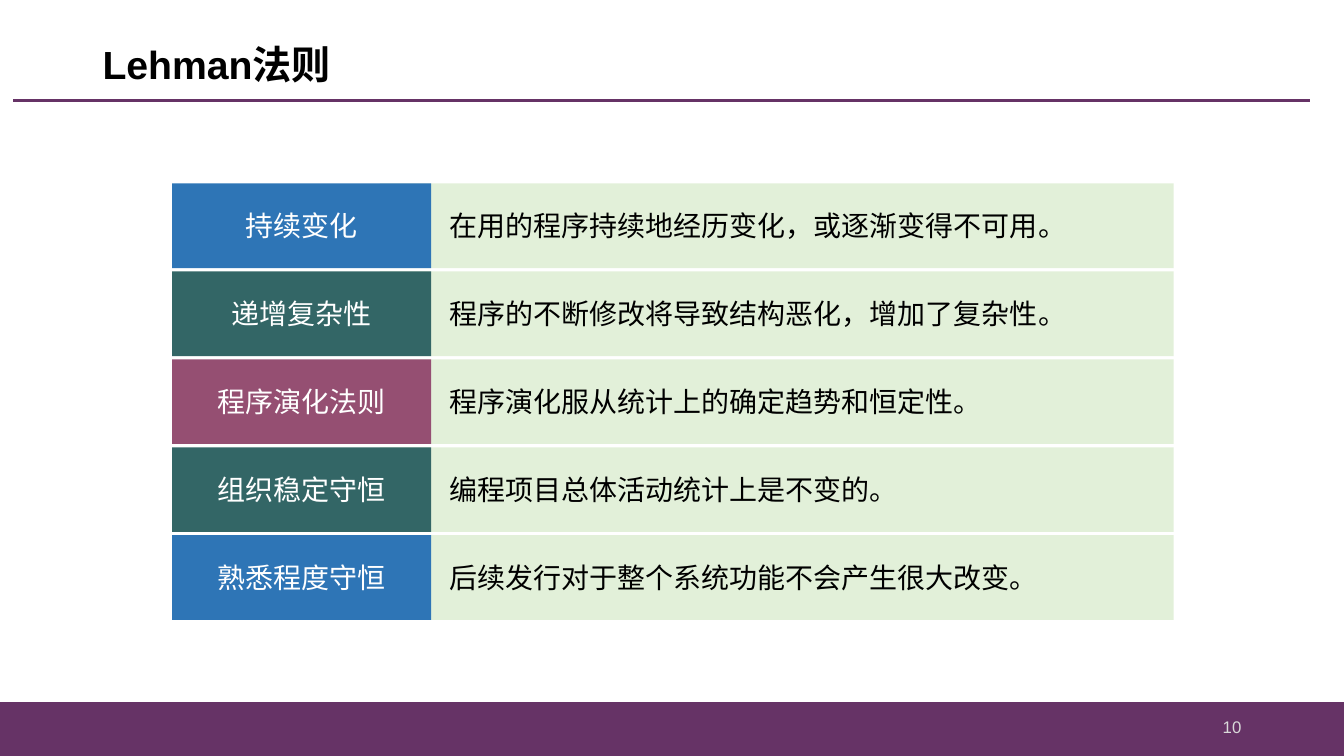
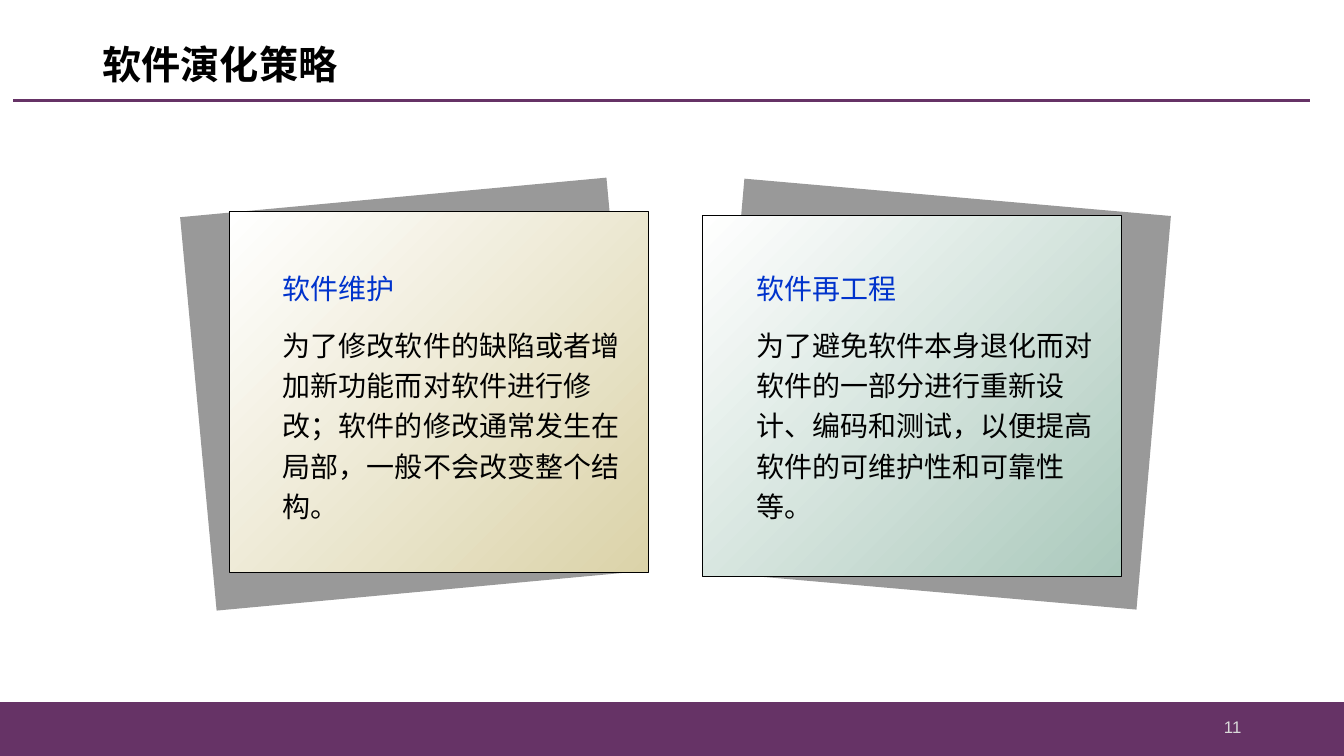
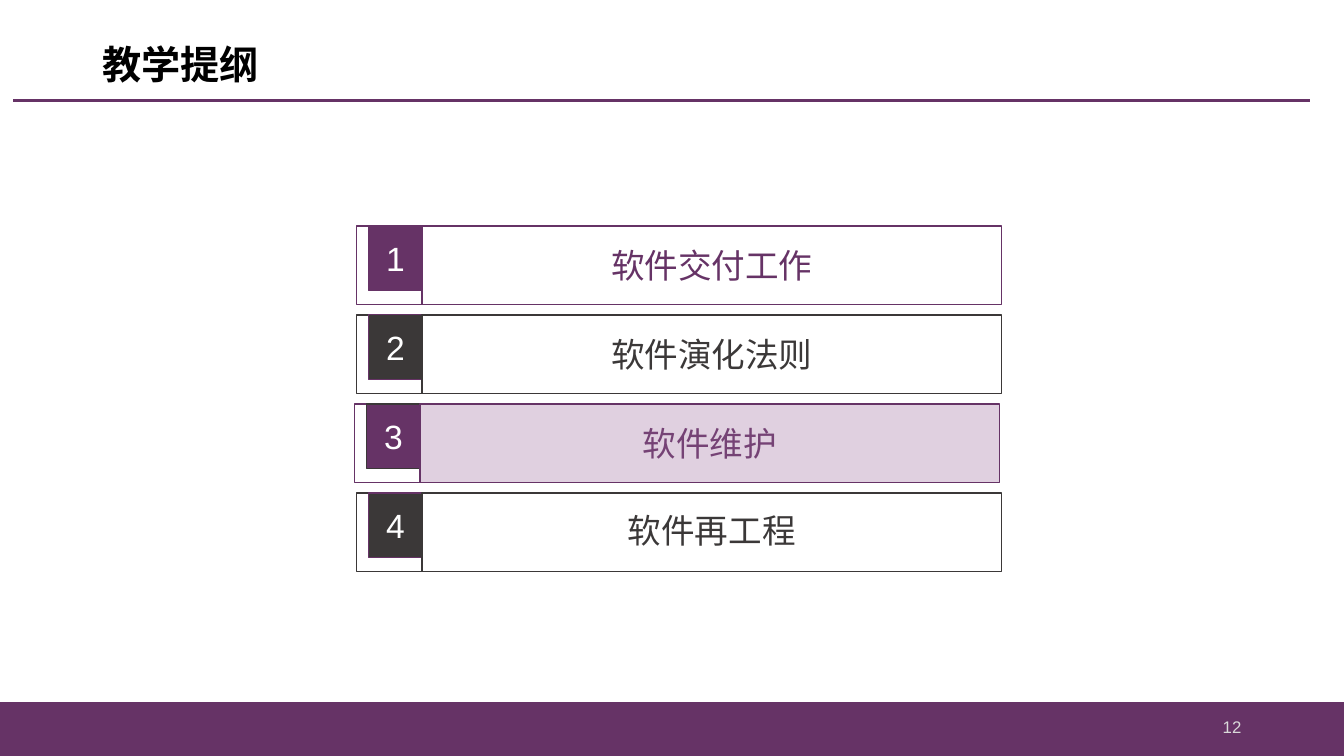
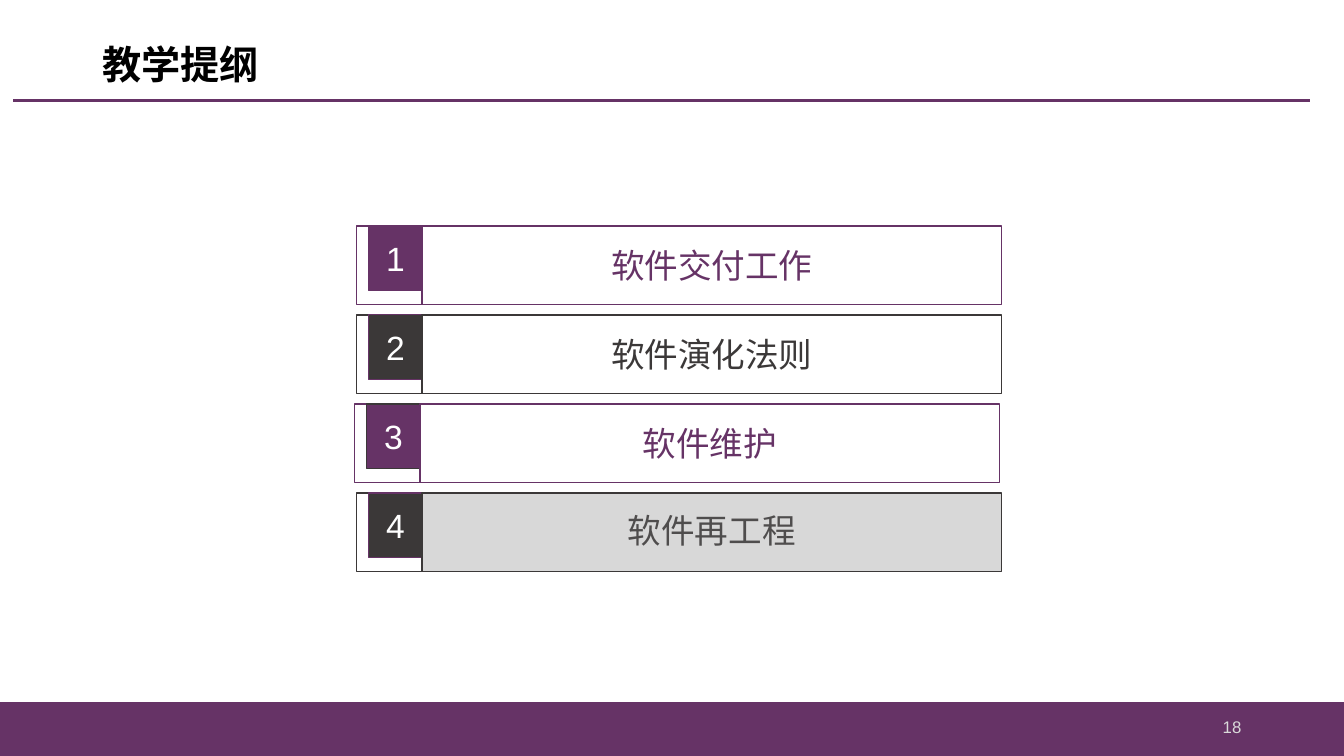
import lxml.etree
import pptx
import pptx.dml.color
import pptx.enum.shapes
import pptx.enum.text
import pptx.oxml.ns
import pptx.util

Inches = pptx.util.Inches
Pt = pptx.util.Pt
Align = pptx.enum.text.PP_ALIGN
Anchor = pptx.enum.text.MSO_ANCHOR
qn = pptx.oxml.ns.qn

COLORS = {
    "purple": "663366", "charcoal": "3B3838", "white": "FFFFFF", "black": "000000",
    "page": "D9D9D9", "blue": "2E75B6", "teal": "336666", "plum": "954F72",
    "mint": "E2F0D9", "heading": "0033CC", "sand": "DBD3A9", "sage": "ABC9BC",
    "lilac": "996699", "gray": "7F7F7F",
}
EAST_ASIAN_FONT = "Noto Sans CJK SC"


def rgb(name):
    return pptx.dml.color.RGBColor.from_string(COLORS[name])


def spread(first, last, count):
    return [first + (last - first) * index / (count - 1) for index in range(count)]


def write(shape, text, size=20, color="black", font="Calibri", bold=False,
          align=Align.LEFT, anchor=Anchor.MIDDLE, spacing=None, after=None,
          indent=0.1, append=False):
    frame = shape.text_frame
    frame.word_wrap = True
    frame.vertical_anchor = anchor
    frame.margin_left = Inches(indent)
    paragraph = frame.add_paragraph() if append else frame.paragraphs[0]
    paragraph.alignment = align
    paragraph._p.get_or_add_pPr().set("hangingPunct", "0")
    if spacing:
        paragraph.line_spacing = spacing
    if after:
        paragraph.space_after = Pt(after)
    run = paragraph.add_run()
    run.text = text
    run.font.size = Pt(size)
    run.font.bold = bold
    run.font.name = font
    run.font.color.rgb = rgb(color)
    properties = run._r.get_or_add_rPr()
    lxml.etree.SubElement(properties, qn("a:ea"), typeface=EAST_ASIAN_FONT)


class Deck:
    """Holds the shared style and the slide being built."""

    def __init__(self):
        self.presentation = pptx.Presentation()
        self.presentation.slide_width = Inches(13.34)
        self.presentation.slide_height = Inches(7.5)
        self.slide = None

    def start_slide(self, title, number, title_font="Calibri"):
        layout = self.presentation.slide_layouts[6]
        self.slide = self.presentation.slides.add_slide(layout)
        self.rectangle(0, 6.97, 13.34, 0.53, fill="purple", line="purple")
        self.rule(0.13, 1, 13)
        write(self.text_box(0.92, 0.3, 11.5, 0.73), title, size=28, bold=True,
              font=title_font, spacing=0.9)
        write(self.text_box(9.42, 7.01, 3, 0.4), number, size=12, color="page",
              font="Arial", align=Align.RIGHT)

    def text_box(self, left, top, width, height):
        return self.slide.shapes.add_textbox(
            Inches(left), Inches(top), Inches(width), Inches(height))

    def rule(self, left, top, right):
        line = self.slide.shapes.add_connector(
            pptx.enum.shapes.MSO_CONNECTOR.STRAIGHT,
            Inches(left), Inches(top), Inches(right), Inches(top))
        line.line.color.rgb = rgb("purple")
        line.line.width = Pt(2.25)
        lxml.etree.SubElement(line._element.spPr, qn("a:effectLst"))

    def rectangle(self, left, top, width, height, fill=None, opacity=100,
                  gradient=None, line=None, line_width=1, rotation=0):
        shape = self.slide.shapes.add_shape(
            pptx.enum.shapes.MSO_SHAPE.RECTANGLE,
            Inches(left), Inches(top), Inches(width), Inches(height))
        shape.shadow.inherit = False
        shape.rotation = rotation
        if gradient:
            shape.fill.gradient()
            shape.fill.gradient_angle = 135
            for stop, color, position in zip(shape.fill.gradient_stops, gradient, (0, 1)):
                stop.color.rgb = rgb(color)
                stop.position = position
        elif fill:
            shape.fill.solid()
            shape.fill.fore_color.rgb = rgb(fill)
            if opacity < 100:
                color = shape._element.spPr.find(qn("a:solidFill"))[0]
                lxml.etree.SubElement(color, qn("a:alpha"), val=str(opacity * 1000))
        else:
            shape.fill.background()
        if line:
            shape.line.color.rgb = rgb(line)
            shape.line.width = Pt(line_width)
        else:
            shape.line.fill.background()
        return shape

    def law(self, top, name, statement, color):
        write(self.rectangle(3.77, top, 7.88, 0.84, fill="mint"), statement, indent=0.69)
        write(self.rectangle(1.71, top, 2.57, 0.84, fill=color), name,
              color="white", align=Align.CENTER)

    def strategy_card(self, left, top, backing_left, rotation, tint,
                      text_left, text_width, heading, body):
        self.rectangle(backing_left, 1.95, 4.25, 3.92, fill="black", opacity=40,
                       rotation=rotation)
        self.rectangle(left, top, 4.16, 3.58, gradient=(tint, "white"),
                       line="black", line_width=0.75)
        box = self.text_box(text_left, 2.64, text_width, 2.6)
        write(box, heading, color="heading", font=EAST_ASIAN_FONT,
              anchor=Anchor.TOP, after=12)
        write(box, body, font=EAST_ASIAN_FONT, anchor=Anchor.TOP, spacing=1.2,
              append=True)

    def outline_row(self, left, top, number, label, color, tile_line, label_drop, tint):
        self.rectangle(left, top, 0.65, 0.78, line=color)
        write(self.rectangle(left + 0.12, top, 0.53, 0.64, fill=color, line=tile_line),
              str(number), size=24, color="white", font="Arial", align=Align.CENTER)
        write(self.text_box(left + 1.62, top + label_drop, 3.81, 0.5), label, size=24,
              color=color, align=Align.CENTER, anchor=Anchor.TOP)
        self.rectangle(left + 0.65, top, 5.75, 0.78, fill=tint, opacity=30, line=color)

    def outline(self, page, current, tint):
        self.start_slide("教学提纲", page)
        tops = spread(2.24, 4.89, len(OUTLINE))
        for number, (top, row) in enumerate(zip(tops, OUTLINE), start=1):
            left, label, color, tile_line, label_drop = row
            self.outline_row(left, top, number, label, color, tile_line, label_drop,
                             tint if number == current else None)


LAWS = [
    ("持续变化", "在用的程序持续地经历变化，或逐渐变得不可用。", "blue"),
    ("递增复杂性", "程序的不断修改将导致结构恶化，增加了复杂性。", "teal"),
    ("程序演化法则", "程序演化服从统计上的确定趋势和恒定性。", "plum"),
    ("组织稳定守恒", "编程项目总体活动统计上是不变的。", "teal"),
    ("熟悉程度守恒", "后续发行对于整个系统功能不会产生很大改变。", "blue"),
]
OUTLINE = [
    (3.54, "软件交付工作", "purple", "purple", 0.14),
    (3.54, "软件演化法则", "charcoal", "purple", 0.14),
    (3.52, "软件维护", "purple", "charcoal", 0.14),
    (3.54, "软件再工程", "charcoal", "purple", 0.12),
]


def main():
    deck = Deck()

    deck.start_slide("Lehman法则", "10", title_font="Arial")
    for top, (name, statement, color) in zip(spread(1.82, 5.31, len(LAWS)), LAWS):
        deck.law(top, name, statement, color)

    deck.start_slide("软件演化策略", "11")
    deck.strategy_card(
        2.28, 2.1, 1.96, -5.3, "sand", 2.71, 3.56, "软件维护",
        "为了修改软件的缺陷或者增加新功能而对软件进行修改；"
        "软件的修改通常发生在局部，一般不会改变整个结构。")
    deck.strategy_card(
        6.97, 2.14, 7.21, 5, "sage", 7.41, 3.65, "软件再工程",
        "为了避免软件本身退化而对软件的一部分进行重新设计、编码和测试，"
        "以便提高软件的可维护性和可靠性等。")

    deck.outline("12", current=3, tint="lilac")
    deck.outline("18", current=4, tint="gray")

    deck.presentation.save("out.pptx")


if __name__ == "__main__":
    main()
